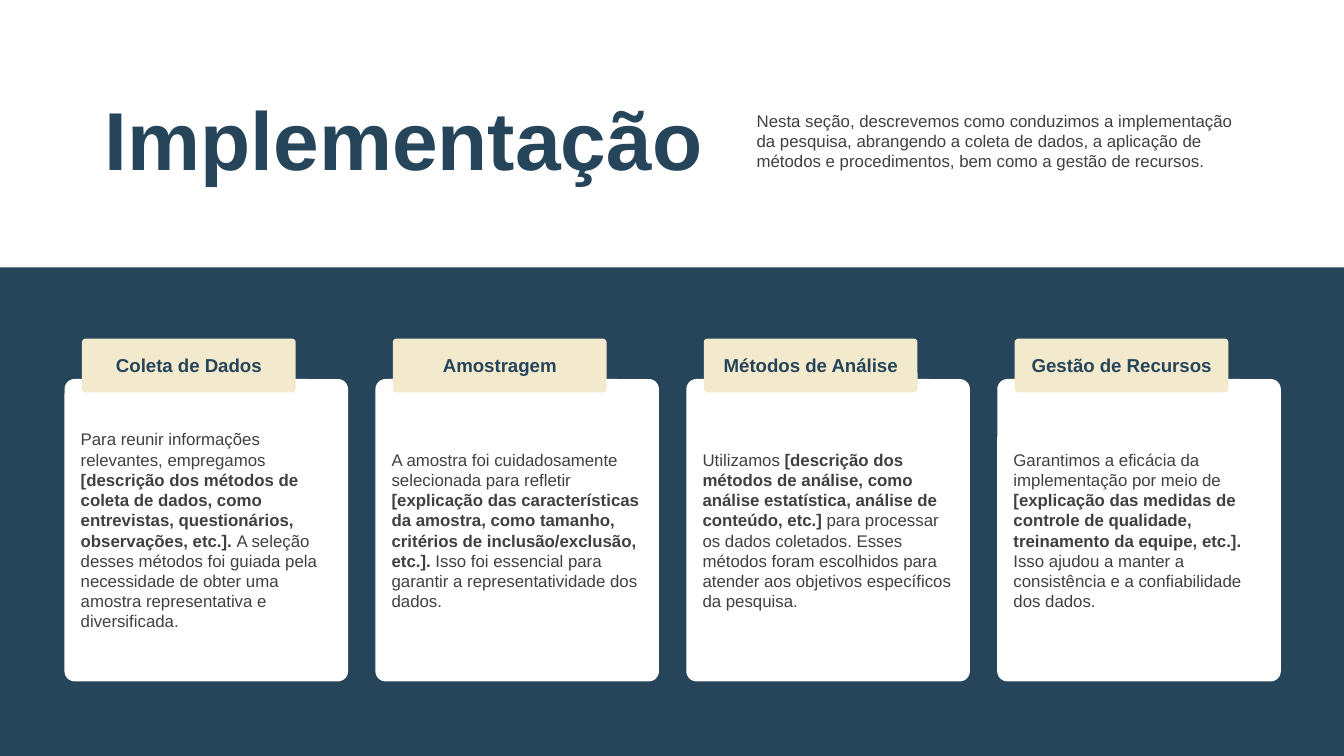
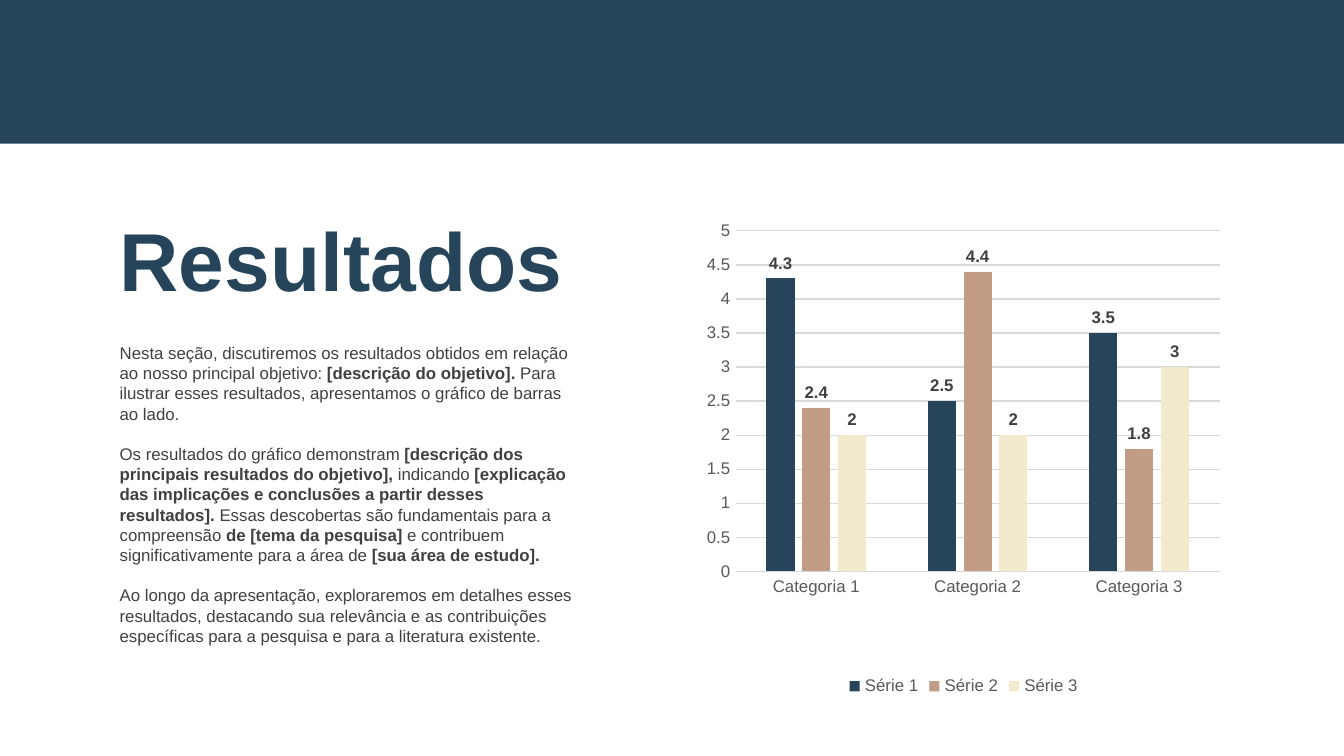
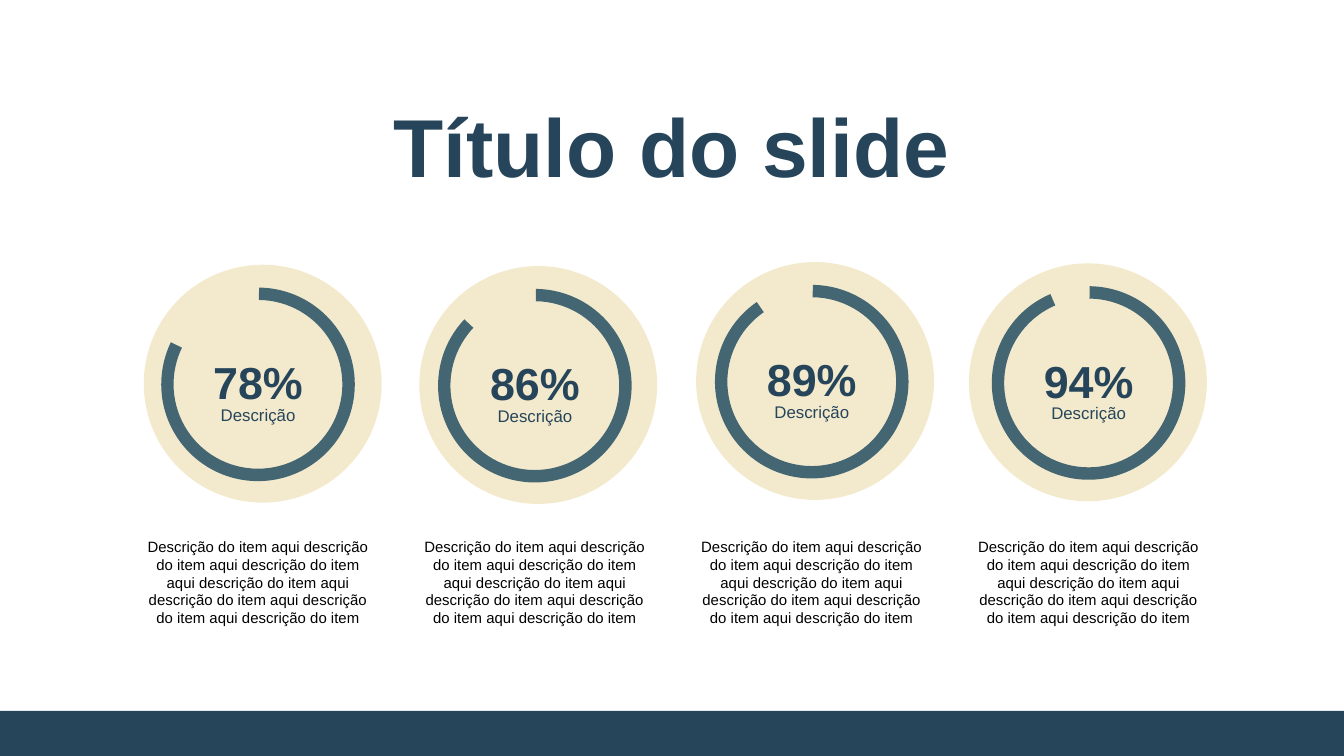
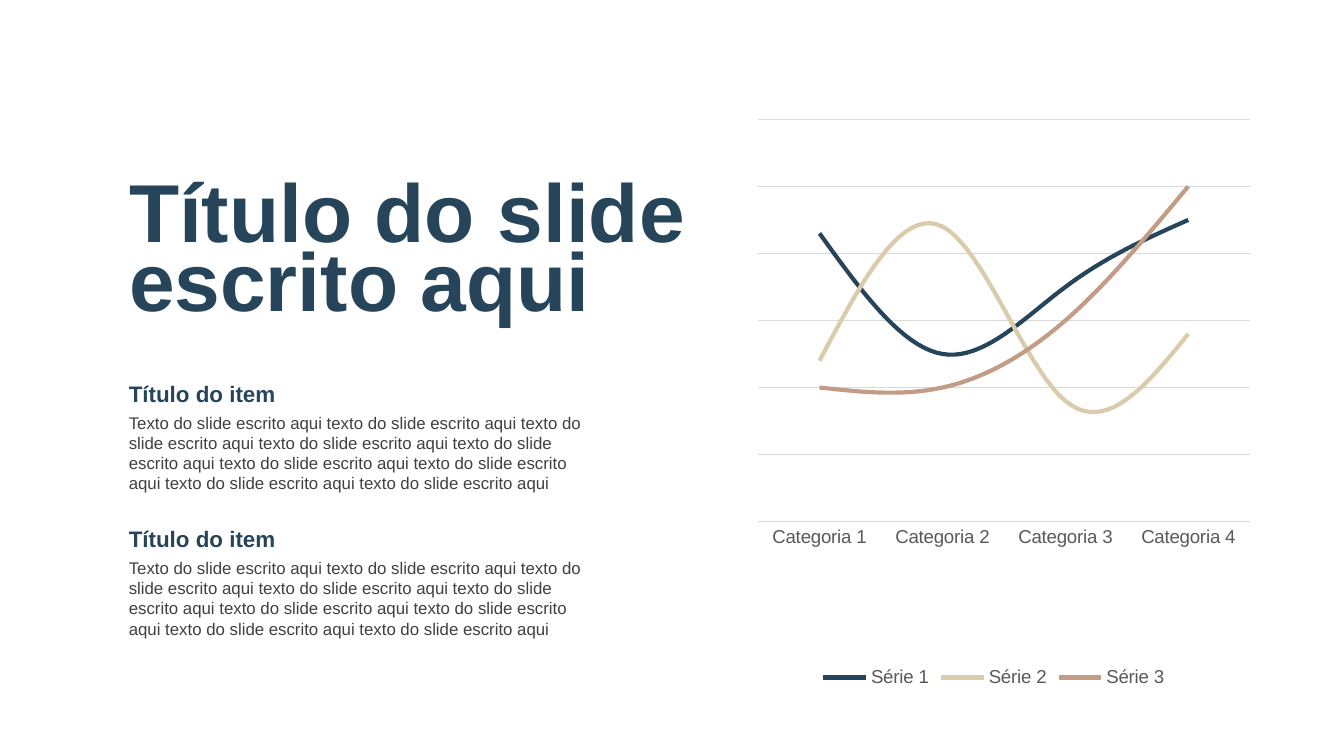
from lxml import etree
from pptx import Presentation
from pptx.chart.data import CategoryChartData
from pptx.dml.color import RGBColor
from pptx.enum.chart import XL_CHART_TYPE, XL_LABEL_POSITION, XL_LEGEND_POSITION, XL_TICK_MARK
from pptx.enum.shapes import MSO_SHAPE
from pptx.enum.text import MSO_ANCHOR, MSO_AUTO_SIZE, PP_ALIGN
from pptx.oxml.ns import qn
from pptx.util import Inches, Pt

BARS, LINES = XL_CHART_TYPE.COLUMN_CLUSTERED, XL_CHART_TYPE.LINE
OUTSIDE, BOTTOM = XL_LABEL_POSITION.OUTSIDE_END, XL_LEGEND_POSITION.BOTTOM
NO_TICK = XL_TICK_MARK.NONE
RECT, ROUNDED, OVAL, ARC = (MSO_SHAPE.RECTANGLE, MSO_SHAPE.ROUNDED_RECTANGLE,
                            MSO_SHAPE.OVAL, MSO_SHAPE.BLOCK_ARC)
TOP, MIDDLE = MSO_ANCHOR.TOP, MSO_ANCHOR.MIDDLE
LEFT, CENTER = PP_ALIGN.LEFT, PP_ALIGN.CENTER
GROW, FIXED = MSO_AUTO_SIZE.SHAPE_TO_FIT_TEXT, MSO_AUTO_SIZE.NONE

FONT = "Arial"
NAVY, CREAM, TAN, SAND, TEAL = "26455A", "F3EACD", "C39C86", "DACBAC", "446673"
WHITE, BLACK, TEXT, AXIS, GRID = "FFFFFF", "000000", "404040", "595959", "D9D9D9"
WIDTH, HEIGHT = 10, 10 * 9 / 16
TITLE_ONLY, TITLE_BODY = 5, 1

INTRO = ("Nesta seção, descrevemos como conduzimos a implementação da pesquisa, abrangendo a "
         "coleta de dados, a aplicação de métodos e procedimentos, bem como a gestão de recursos.")
CARDS = [
    ("Coleta de Dados", [
        "Para reunir informações relevantes, empregamos ",
        "[descrição dos métodos de coleta de dados, como entrevistas, questionários, "
        "observações, etc.]. ",
        "A seleção desses métodos foi guiada pela necessidade de obter uma amostra "
        "representativa e diversificada."]),
    ("Amostragem", [
        "A amostra foi cuidadosamente selecionada para refletir ",
        "[explicação das características da amostra, como tamanho, critérios de "
        "inclusão/exclusão, etc.].",
        " Isso foi essencial para garantir a representatividade dos dados."]),
    ("Métodos de Análise", [
        "Utilizamos ",
        "[descrição dos métodos de análise, como análise estatística, análise de conteúdo, etc.] ",
        "para processar os dados coletados. Esses métodos foram escolhidos para atender aos "
        "objetivos específicos da pesquisa."]),
    ("Gestão de Recursos", [
        "Garantimos a eficácia da implementação por meio de ",
        "[explicação das medidas de controle de qualidade, treinamento da equipe, etc.]. ",
        "Isso ajudou a manter a consistência e a confiabilidade dos dados."]),
]
FINDINGS = [
    ["Nesta seção, discutiremos os resultados obtidos em relação ao nosso principal objetivo: ",
     "[descrição do objetivo]. ",
     "Para ilustrar esses resultados, apresentamos o gráfico de barras ao lado."],
    ["Os resultados do gráfico demonstram",
     " [descrição dos principais resultados do objetivo],",
     " indicando ",
     "[explicação das implicações e conclusões a partir desses resultados]. ",
     "Essas descobertas são fundamentais para a compreensão ",
     "de [tema da pesquisa] ",
     "e contribuem significativamente para a área de ",
     "[sua área de estudo]."],
    ["Ao longo da apresentação, exploraremos em detalhes esses resultados, destacando sua "
     "relevância e as contribuições específicas para a pesquisa e para a literatura existente."],
]
BAR_SERIES = [("Série 1", (4.3, 2.5, 3.5), NAVY), ("Série 2", (2.4, 4.4, 1.8), TAN),
              ("Série 3", (2, 2, 3), CREAM)]
LINE_SERIES = [("Série 1", (86, 50, 70, 90), NAVY), ("Série 2", (48, 88, 36, 56), SAND),
               ("Série 3", (40, 40, 60, 100), TAN)]
GAUGES = [("78%", 205.77, 2.14, 0.13), ("86%", 223.27, 2.15, 0.14),
          ("89%", 235.39, 2.12, 0.14), ("94%", 246.77, 2.13, 0.17)]
GAUGE_TEXT = "Descrição do item aqui " + "descrição do item aqui " * 5 + "descrição do item"
ITEM_TEXT = "Texto do slide escrito aqui" + " texto do slide escrito aqui" * 8


def rgb(color):
    """Turn a hex string into a colour."""
    return RGBColor.from_string(color)


def style(font, size, color, bold=False):
    """Set the deck's font with a size and colour."""
    font.name, font.size, font.bold = FONT, Pt(size), bold
    font.color.rgb = rgb(color)


def place(sp, box):
    """Move a shape to a box given in inches."""
    sp.left, sp.top, sp.width, sp.height = [Inches(v) for v in box]


def write(sp, paragraphs, size, color, bold=False, align=LEFT, anchor=TOP,
          auto=GROW, spacing=None, gap=0):
    """Fill a shape with paragraphs whose runs alternate plain and bold."""
    tf = sp.text_frame
    tf.word_wrap, tf.auto_size, tf.vertical_anchor = True, auto, anchor
    for i, runs in enumerate(paragraphs):
        p = tf.add_paragraph() if i else tf.paragraphs[0]
        p.alignment, p.line_spacing = align, spacing
        p.space_before = Pt(gap if i else 0)
        for j, text in enumerate(runs):
            r = p.add_run()
            r.text = text
            style(r.font, size, color, bold or j % 2 == 1)


def add_box(s, box, text, size, color, **options):
    """Add a text box holding one paragraph."""
    sp = s.shapes.add_textbox(*[Inches(v) for v in box])
    write(sp, [[text]], size, color, **options)


def add_shape(s, kind, box, fill, adjustments=()):
    """Add a flat shape without an outline."""
    sp = s.shapes.add_shape(kind, *[Inches(v) for v in box])
    sp.shadow.inherit = False
    sp.fill.solid()
    sp.fill.fore_color.rgb = rgb(fill)
    sp.line.fill.background()
    for i, value in enumerate(adjustments):
        sp.adjustments[i] = value
    return sp


def add_band(s, top, height):
    """Add a navy band across the slide."""
    add_shape(s, RECT, (0, top, WIDTH, height), NAVY)


def add_title(s, box, *lines, align=LEFT):
    """Format the title placeholder."""
    sp = s.shapes.title
    place(sp, box)
    write(sp, [[line] for line in lines], 44, NAVY, bold=True, align=align,
          anchor=MIDDLE, spacing=0.7)
    tf = sp.text_frame
    tf.margin_left = tf.margin_right = tf.margin_top = tf.margin_bottom = Inches(0.1)


def add_body(s, box, paragraphs):
    """Format the body placeholder as text without bullets."""
    sp = s.placeholders[1]
    place(sp, box)
    write(sp, paragraphs, 9, TEXT, gap=10.8)
    for p in sp.text_frame.paragraphs:
        pPr = p._p.get_or_add_pPr()
        pPr.set("marL", "0")
        pPr.set("indent", "0")
        etree.SubElement(pPr, qn("a:buNone"))


def add_card(s, left, top, heading, runs):
    """Add a white card with a cream tab on its upper edge."""
    card = add_shape(s, ROUNDED, (left, top, 2.11, 2.25), WHITE, [0.036])
    write(card, [runs], 9, TEXT, anchor=MIDDLE, auto=FIXED)
    tab = add_shape(s, ROUNDED, (left + 0.13, top - 0.3, 1.59, 0.4), CREAM, [0.064])
    write(tab, [[heading]], 10, NAVY, bold=True, align=CENTER, anchor=MIDDLE, auto=FIXED)


def add_gauge(s, left, top, percent, end, disc_shift):
    """Add a ring gauge on a disc with its value and label."""
    add_shape(s, OVAL, (left - disc_shift, top - 0.17, 1.77, 1.77), CREAM)
    add_shape(s, ARC, (left, top, 1.44, 1.44), TEAL, [270.64 * 0.6, end * 0.6, 0.064])
    add_box(s, (left + 0.26, top + 0.45, 0.92, 0.5), percent, 24, NAVY, bold=True, align=CENTER)
    add_box(s, (left + 0.23, top + 0.82, 0.98, 0.25), "Descrição", 9, NAVY, align=CENTER)


def add_item(s, left, top):
    """Add a heading with its text below."""
    add_box(s, (left, top, 3.78, 0.3), "Título do item", 12, NAVY, bold=True)
    add_box(s, (left, top + 0.24, 3.58, 0.71), ITEM_TEXT, 9, TEXT)


def set_plot_box(chart, box):
    """Fix the inner plot area as fractions of the chart."""
    plot_area = chart._chartSpace.find(".//" + qn("c:plotArea"))
    for old in plot_area.findall(qn("c:layout")):
        plot_area.remove(old)
    layout = etree.Element(qn("c:layout"))
    manual = etree.SubElement(layout, qn("c:manualLayout"))
    settings = [("layoutTarget", "inner"), ("xMode", "edge"), ("yMode", "edge"),
                *zip("xywh", box)]
    for tag, value in settings:
        etree.SubElement(manual, qn("c:" + tag)).set("val", str(value))
    plot_area.insert(0, layout)


def add_chart(s, kind, box, series, size, plot_box, top_value, step):
    """Add a chart with pale gridlines and a legend below."""
    data = CategoryChartData()
    data.categories = [f"Categoria {i + 1}" for i in range(len(series[0][1]))]
    for name, values, _ in series:
        data.add_series(name, values)
    chart = s.shapes.add_chart(kind, *[Inches(v) for v in box], data).chart
    style(chart.font, size, BLACK)
    chart.has_title = False
    chart.has_legend = True
    chart.legend.position, chart.legend.include_in_layout = BOTTOM, False
    style(chart.legend.font, size, AXIS)
    cats, vals = chart.category_axis, chart.value_axis
    for axis in (cats, vals):
        axis.major_tick_mark = axis.minor_tick_mark = NO_TICK
        style(axis.tick_labels.font, size, AXIS)
    vals.minimum_scale, vals.maximum_scale, vals.major_unit = 0, top_value, step
    vals.format.line.fill.background()
    for line in (cats.format.line, vals.major_gridlines.format.line):
        line.color.rgb, line.width = rgb(GRID), Pt(0.75)
    chart.plots[0].vary_by_categories = False
    set_plot_box(chart, plot_box)
    return chart


def add_bar_chart(s, box):
    """Add the clustered columns with value labels."""
    chart = add_chart(s, BARS, box, BAR_SERIES, 9, (0.086, 0.043, 0.879, 0.693), 5, 0.5)
    plot = chart.plots[0]
    plot.gap_width, plot.overlap = 219, -27
    for ser, (_, _, color) in zip(plot.series, BAR_SERIES):
        ser.format.fill.solid()
        ser.format.fill.fore_color.rgb = rgb(color)
        labels = ser.data_labels
        labels.show_value, labels.position = True, OUTSIDE
        style(labels.font, 9, TEXT, True)


def add_line_chart(s, box):
    """Add the smooth lines without a value axis."""
    chart = add_chart(s, LINES, box, LINE_SERIES, 10, (0.069, 0.038, 0.899, 0.674), 120, 20)
    chart.value_axis.visible = False
    for ser, (_, _, color) in zip(chart.plots[0].series, LINE_SERIES):
        ser.smooth = True
        ser.format.line.color.rgb, ser.format.line.width = rgb(color), Pt(2.25)


def new_slide(prs, layout):
    """Add a slide with the given layout."""
    return prs.slides.add_slide(prs.slide_layouts[layout])


def implementation_slide(prs):
    """Build the slide with four cards on a band."""
    s = new_slide(prs, TITLE_BODY)
    add_band(s, 1.99, HEIGHT - 1.99)
    add_title(s, (0.68, 0.83, 4.81, 0.57), "Implementação")
    add_body(s, (5.53, 0.77, 3.79, 0.56), [[INTRO]])
    for i, (heading, runs) in enumerate(CARDS):
        add_card(s, 0.48 + i * 6.94 / 3, 2.82, heading, runs)


def results_slide(prs):
    """Build the slide with findings and columns."""
    s = new_slide(prs, TITLE_BODY)
    add_band(s, 0, 1.07)
    add_title(s, (0.79, 1.73, 4.22, 0.57), "Resultados")
    add_body(s, (0.79, 2.5, 3.61, 2.37), FINDINGS)
    add_bar_chart(s, (5.12, 1.56, 4.1, 3.66))


def gauges_slide(prs):
    """Build the slide with four gauges."""
    s = new_slide(prs, TITLE_ONLY)
    add_title(s, (1.93, 0.8, 6.14, 0.73), "Título do slide", align=CENTER)
    for i, (percent, end, top, disc_shift) in enumerate(GAUGES):
        left = 1.2 + i * 2.06
        add_gauge(s, left, top, percent, end, disc_shift)
        add_box(s, (left - 0.21, 3.95, 1.86, 0.77), GAUGE_TEXT, 8, BLACK, align=CENTER)
    add_band(s, 5.29, HEIGHT - 5.29)


def trends_slide(prs):
    """Build the slide with two items and lines."""
    s = new_slide(prs, TITLE_ONLY)
    add_title(s, (0.86, 1.28, 4.46, 1.25), "Título do slide", "escrito aqui")
    for top in (2.78, 3.86):
        add_item(s, 0.86, top)
    add_line_chart(s, (5.36, 0.72, 4.07, 4.44))


def main():
    """Build and save the presentation."""
    prs = Presentation()
    prs.slide_width, prs.slide_height = Inches(WIDTH), Inches(HEIGHT)
    implementation_slide(prs)
    results_slide(prs)
    gauges_slide(prs)
    trends_slide(prs)
    prs.save("out.pptx")


if __name__ == "__main__":
    main()
